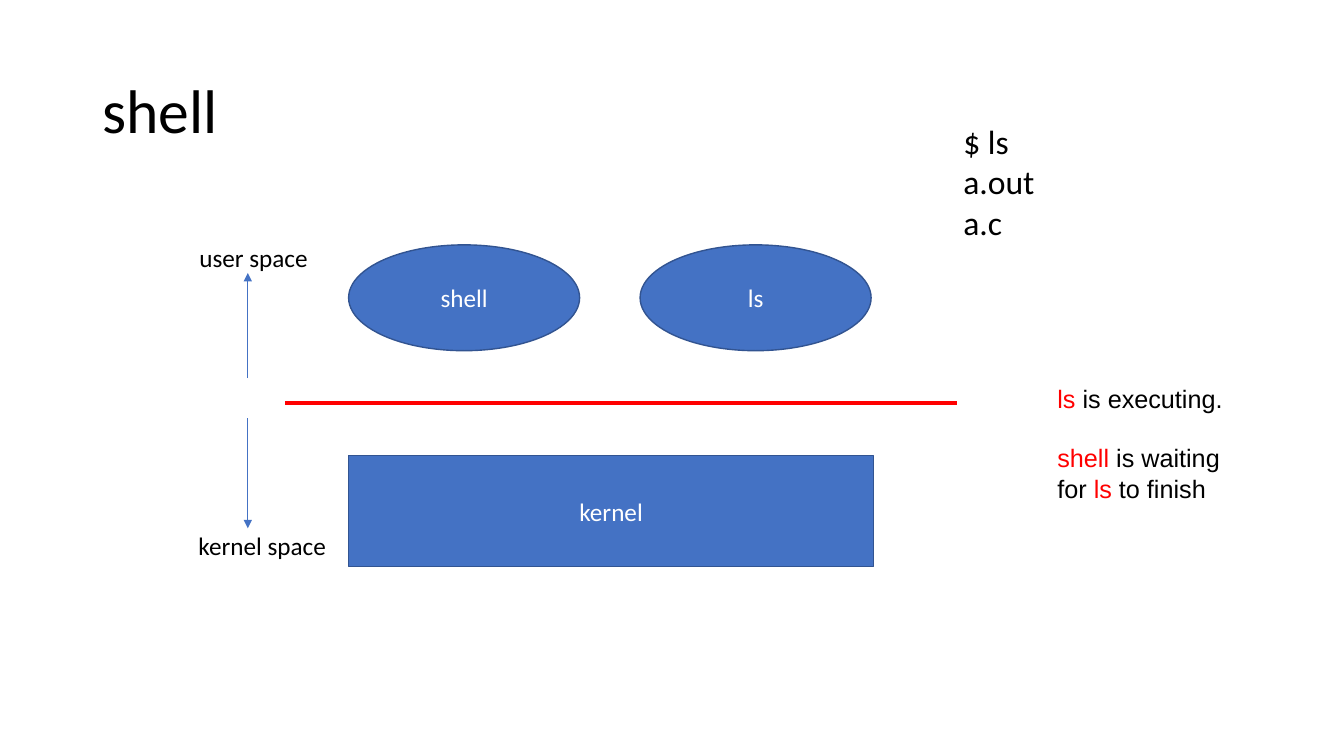
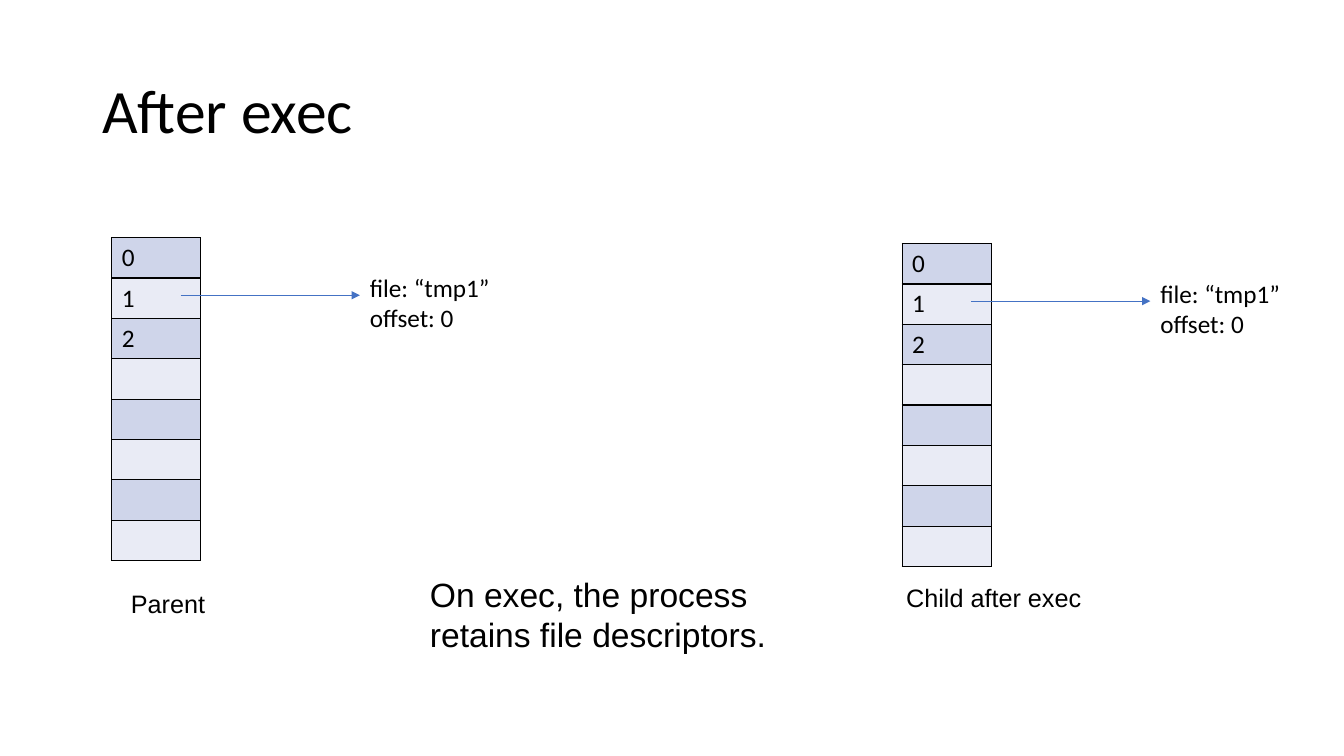
from dataclasses import dataclass
from typing import NamedTuple, Sequence

from pptx import Presentation
from pptx.dml.color import RGBColor
from pptx.enum.shapes import MSO_CONNECTOR, MSO_SHAPE
from pptx.enum.text import MSO_ANCHOR, MSO_AUTO_SIZE, PP_ALIGN
from pptx.oxml.ns import qn
from pptx.oxml.xmlchemy import OxmlElement
from pptx.slide import Slide
from pptx.table import _Cell
from pptx.text.text import TextFrame
from pptx.util import Inches, Length, Pt

COLORS = {
    "ink": "000000", "paper": "FFFFFF", "accent": "4472C4", "outline": "325491",
    "alert": "FF0000", "band_dark": "CFD5EA", "band_light": "E9EBF5",
}
SLIDE_WIDTH, SLIDE_HEIGHT = Inches(13.333), Inches(7.5)
COLUMNS, ROWS = 32, 18
DESCRIPTOR_COUNT = 8
DESCRIPTORS = ("0", "1", "2")


class Run(NamedTuple):
    """A stretch of text in one colour."""
    text: str
    color: str = "ink"


class Area(NamedTuple):
    """A rectangle in grid columns and rows."""
    column: float
    row: float
    columns: float
    rows: float

    def lengths(self) -> tuple[Length, Length, Length, Length]:
        """Return left, top, width and height."""
        return across(self.column), down(self.row), across(self.columns), down(self.rows)


@dataclass(frozen=True)
class Block:
    """A filled part of the system diagram."""
    name: str
    outline: MSO_SHAPE
    area: Area


@dataclass(frozen=True)
class Process:
    """A process with its descriptor table and caption."""
    name: str
    column: float
    row: float
    caption: Area


PROCESS_AREA = Area(8.3, 5.83, 5.5, 2.52)
BLOCKS = (
    Block("shell", MSO_SHAPE.OVAL, PROCESS_AREA),
    Block("ls", MSO_SHAPE.OVAL, PROCESS_AREA._replace(column=15.24)),
    Block("kernel", MSO_SHAPE.RECTANGLE, Area(8.3, 10.85, 12.5, 2.64)),
)
PROCESSES = (
    Process("Parent", 2.66, 5.66, Area(2.88, 13.9, 8.8, 0.96)),
    Process("Child after exec", 21.48, 5.8, Area(21.34, 13.75, 8.8, 0.96)),
)


def across(columns: float) -> Length:
    """Convert grid columns to a length."""
    return Length(round(SLIDE_WIDTH * columns / COLUMNS))


def down(rows: float) -> Length:
    """Convert grid rows to a length."""
    return Length(round(SLIDE_HEIGHT * rows / ROWS))


def rgb(color: str) -> RGBColor:
    """Look up a named colour."""
    return RGBColor.from_string(COLORS[color])


def plain(*lines: str, color: str = "ink") -> list[list[Run]]:
    """Turn lines into paragraphs of one run."""
    return [[Run(line, color)] for line in lines]


def write(frame: TextFrame, paragraphs: Sequence[Sequence[Run]], *, size: float = 18,
          font: str = "Calibri", align: PP_ALIGN = PP_ALIGN.LEFT, gap: float = 0,
          spacing: float = 1.0) -> None:
    """Fill a text frame with formatted paragraphs."""
    for index, runs in enumerate(paragraphs):
        paragraph = frame.add_paragraph() if index else frame.paragraphs[0]
        paragraph.alignment = align
        paragraph.line_spacing = spacing
        if index and gap:
            paragraph.space_before = Pt(gap)
        for text, color in runs:
            run = paragraph.add_run()
            run.text = text
            run.font.size, run.font.name = Pt(size), font
            run.font.color.rgb = rgb(color)


def add_label(slide: Slide, area: Area, paragraphs: Sequence[Sequence[Run]], **style) -> None:
    """Add wrapped text that sets its own height."""
    frame = slide.shapes.add_textbox(*area.lengths()).text_frame
    frame.word_wrap = True
    frame.auto_size = MSO_AUTO_SIZE.SHAPE_TO_FIT_TEXT
    write(frame, paragraphs, **style)


def add_titled_slide(deck: Presentation, title: str) -> Slide:
    """Add a blank slide with the shared title style."""
    slide = deck.slides.add_slide(deck.slide_layouts[6])
    frame = slide.shapes.add_textbox(*Area(2.2, 0.96, 27.6, 3.48).lengths()).text_frame
    frame.word_wrap = True
    frame.vertical_anchor = MSO_ANCHOR.MIDDLE
    write(frame, plain(title), size=44, spacing=0.9)
    return slide


def add_line(slide: Slide, start: tuple[float, float], end: tuple[float, float], *,
             color: str = "accent", weight: float = 0.5, arrow: bool = True) -> None:
    """Draw a straight line between two grid points."""
    line = slide.shapes.add_connector(
        MSO_CONNECTOR.STRAIGHT, across(start[0]), down(start[1]), across(end[0]), down(end[1]))
    line.line.color.rgb = rgb(color)
    line.line.width = Pt(weight)
    properties = line.element.spPr
    if arrow:
        head = OxmlElement("a:tailEnd")
        head.set("type", "triangle")
        properties.find(qn("a:ln")).append(head)
    properties.append(OxmlElement("a:effectLst"))


def add_block(slide: Slide, block: Block) -> None:
    """Draw a named block of the system diagram."""
    shape = slide.shapes.add_shape(block.outline, *block.area.lengths())
    shape.shadow.inherit = False
    shape.fill.solid()
    shape.fill.fore_color.rgb = rgb("accent")
    shape.line.color.rgb = rgb("outline")
    shape.line.width = Pt(1)
    shape.text_frame.vertical_anchor = MSO_ANCHOR.MIDDLE
    write(shape.text_frame, plain(block.name, color="paper"), align=PP_ALIGN.CENTER)


def add_borders(cell: _Cell) -> None:
    """Outline every side of a table cell."""
    properties = cell._tc.get_or_add_tcPr()
    for side in ("lnL", "lnR", "lnT", "lnB"):
        border = OxmlElement(f"a:{side}")
        border.set("w", str(Pt(1)))
        fill, ink = OxmlElement("a:solidFill"), OxmlElement("a:srgbClr")
        ink.set("val", COLORS["ink"])
        fill.append(ink)
        border.append(fill)
        properties.append(border)


def add_process(slide: Slide, process: Process) -> None:
    """Draw a descriptor table, its open file and its caption."""
    left, top = process.column, process.row
    area = Area(left, top, 2.12, 0.96 * DESCRIPTOR_COUNT)
    descriptors = slide.shapes.add_table(DESCRIPTOR_COUNT, 1, *area.lengths()).table
    descriptors.first_row = descriptors.horz_banding = False
    for index in range(DESCRIPTOR_COUNT):
        cell = descriptors.cell(index, 0)
        add_borders(cell)
        cell.fill.solid()
        cell.fill.fore_color.rgb = rgb("band_light" if index % 2 else "band_dark")
        if index < len(DESCRIPTORS):
            write(cell.text_frame, plain(DESCRIPTORS[index]))
    add_line(slide, (left + 1.64, top + 1.37), (left + 5.91, top + 1.37))
    add_label(slide, Area(left + 5.91, top + 0.7, 4.54, 1.7), plain("file: “tmp1”", "offset: 0"))
    add_label(slide, process.caption, plain(process.name), font="Arial")


def build_shell(deck: Presentation) -> None:
    """Build the slide on user and kernel space."""
    slide = add_titled_slide(deck, "shell")
    add_line(slide, (6.79, 9.6), (22.78, 9.6), color="alert", weight=3, arrow=False)
    for block in BLOCKS:
        add_block(slide, block)
    add_line(slide, (5.9, 9.96), (5.9, 12.58))
    add_line(slide, (5.9, 9), (5.9, 6.5))
    add_label(slide, Area(4.51, 5.66, 4.9, 0.96), plain("user space"))
    add_label(slide, Area(4.49, 12.5, 4.9, 0.96), plain("kernel space"))
    add_label(slide, Area(22.7, 2.76, 6.36, 3.14), plain("$ ls", "a.out", "a.c"), size=24)
    status = [
        [Run("ls", "alert"), Run(" is executing.")],
        [Run("shell", "alert"), Run(" is waiting for "), Run("ls ", "alert"), Run("to finish")],
    ]
    add_label(slide, Area(24.94, 9, 4.78, 3.14), status, font="Arial", gap=21)


def build_exec(deck: Presentation) -> None:
    """Build the slide on descriptors after exec."""
    slide = add_titled_slide(deck, "After exec")
    for process in PROCESSES:
        add_process(slide, process)
    add_label(slide, Area(10, 13.54, 8.8, 2.18),
              plain("On exec, the process", "retains file descriptors."), size=24, font="Arial")


def main() -> None:
    """Build and save the deck."""
    deck = Presentation()
    deck.slide_width, deck.slide_height = SLIDE_WIDTH, SLIDE_HEIGHT
    build_shell(deck)
    build_exec(deck)
    deck.save("out.pptx")


if __name__ == "__main__":
    main()
